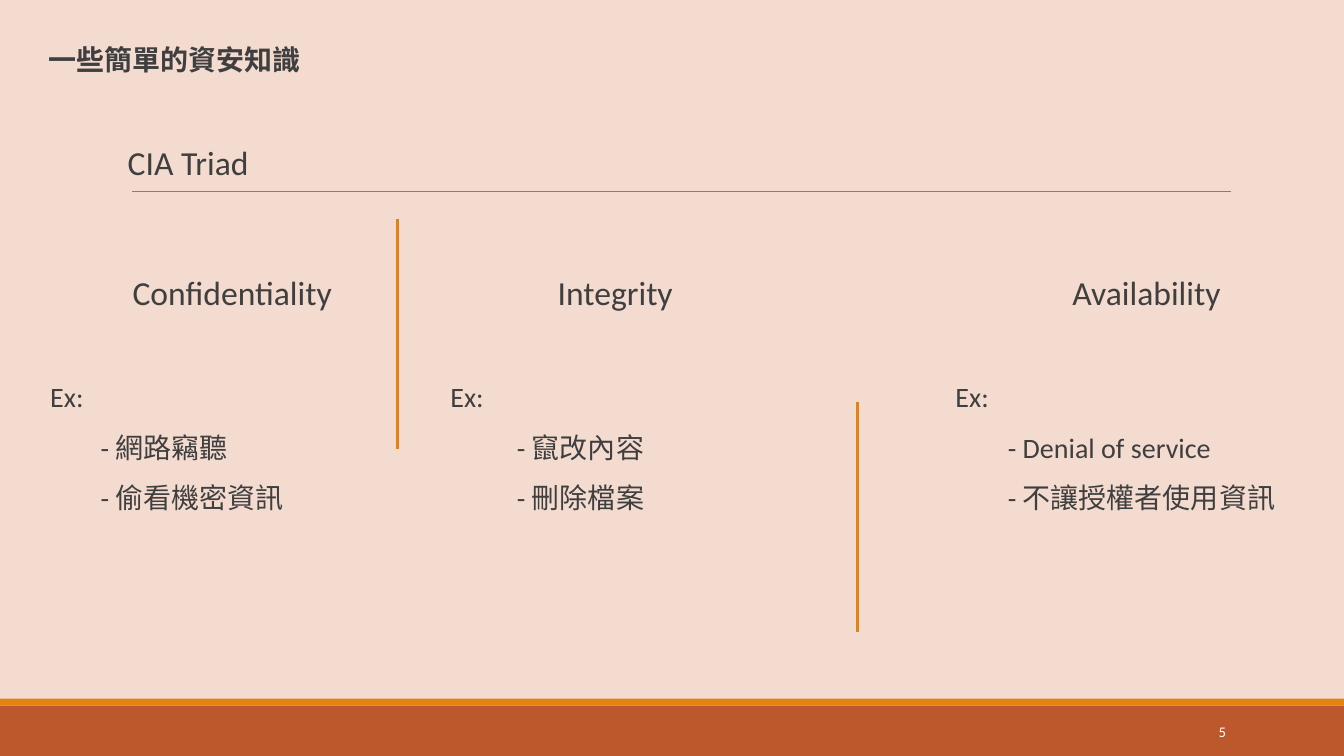
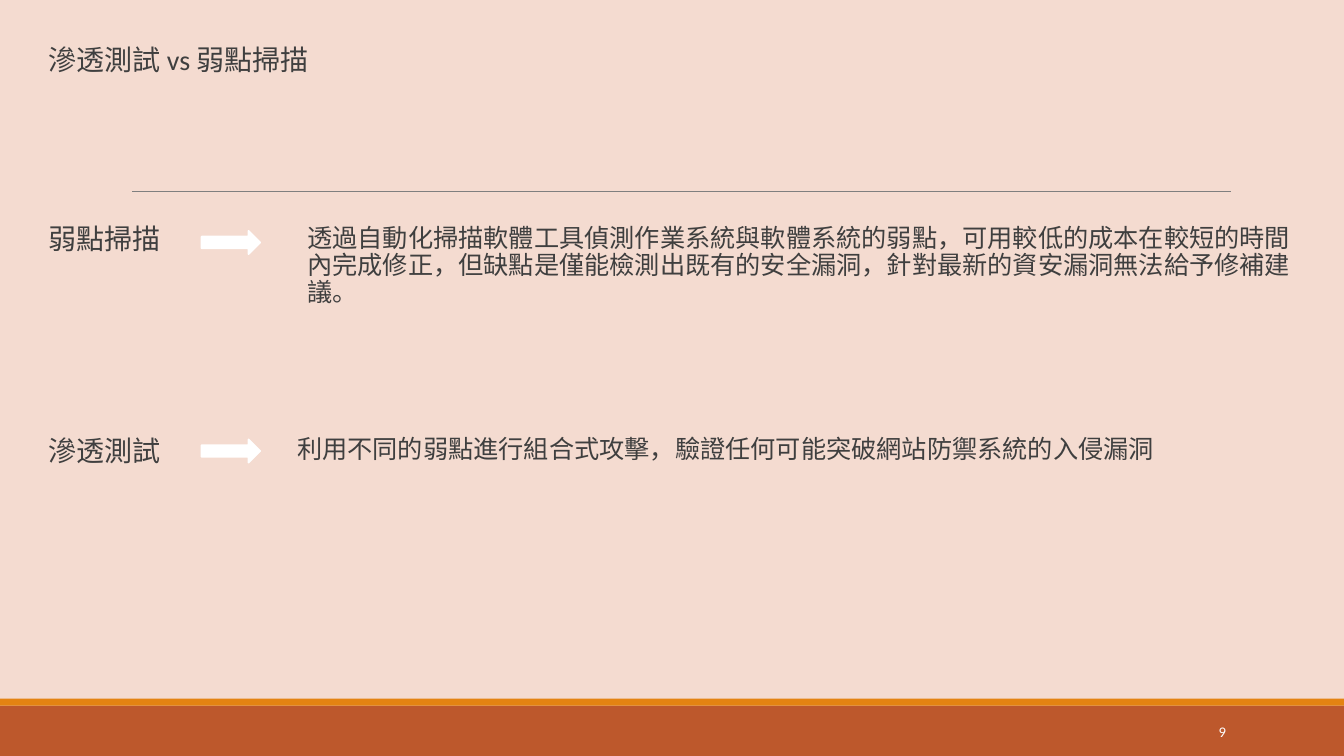
from lxml import etree
from pptx import Presentation
from pptx.dml.color import RGBColor
from pptx.enum import shapes, text
from pptx.oxml import ns
from pptx.util import Pt

# Content
TRIAD = {
    "title": "一些簡單的資安知識",
    "head": "CIA Triad",
    "page": "5",
    # head left, example left, list left, head, examples
    "cols": [
        (84.2, 21.6, 57.6, "Confidentiality", ["- 網路竊聽", "- 偷看機密資訊"]),
        (357.8, 307.4, 355, "Integrity", ["- 竄改內容", "- 刪除檔案"]),
        (737.3, 668.2, 705.6, "Availability",
         ["- Denial of service", "- 不讓授權者使用資訊"]),
    ],
    "bars": [(283.7, 156.2), (612.7, 287.3)],
}
TESTS = {
    "title": "滲透測試 vs 弱點掃描",
    "page": "9",
    # term top, arrow top, note top, note indent, term, note
    "rows": [
        (157.7, 164.9, 157.7, 7.2, "弱點掃描",
         "透過自動化掃描軟體工具偵測作業系統與軟體系統的弱點，"
         "可用較低的成本在較短的時間內完成修正，但缺點是僅能檢測出既有的安全漏洞，"
         "針對最新的資安漏洞無法給予修補建議。"),
        (308.9, 313.9, 308.2, 0, "滲透測試",
         "利用不同的弱點進行組合式攻擊，驗證任何可能突破網站防禦系統的入侵漏洞"),
    ],
}

# Shared style
COLORS = {"back": "F4DBD0", "band": "BD582C", "edge": "E48312",
          "ink": "3F3F3F", "rule": "7F7F7F", "white": "FFFFFF"}
FONT = "Calibri"
LEFT, BAR = 27.4, 164.2
WIDE, HIGH = 960, 540
ALIGN = text.PP_ALIGN


def color(name):
    return RGBColor.from_string(COLORS[name])


def box(slide, at, lines, size=20, ink="ink", bold=False, align=ALIGN.LEFT,
        space=0.9, indent=0, middle=False):
    frame = slide.shapes.add_textbox(*map(Pt, at)).text_frame
    frame.word_wrap = True
    if middle:
        frame.vertical_anchor = text.MSO_ANCHOR.MIDDLE
    look = {"name": FONT, "size": Pt(size), "bold": bold}
    for i, line in enumerate(lines):
        para = frame.paragraphs[0] if i == 0 else frame.add_paragraph()
        flow = {"alignment": align, "line_spacing": space,
                "space_before": Pt(14 if i else 0)}
        for key, val in flow.items():
            setattr(para, key, val)
        if indent:
            para._p.get_or_add_pPr().set("marL", str(Pt(indent)))
        run = para.add_run()
        run.text = line
        for key, val in look.items():
            setattr(run.font, key, val)
        run.font.color.rgb = color(ink)


def line(slide, start, end, tint, width):
    link = slide.shapes.add_connector(
        shapes.MSO_CONNECTOR.STRAIGHT, *map(Pt, start + end))
    link.line.color.rgb = color(tint)
    link.line.width = Pt(width)
    etree.SubElement(link._element.spPr, ns.qn("a:effectLst"))


def block(slide, kind, at, fill, edge=0):
    shape = slide.shapes.add_shape(kind, *map(Pt, at))
    shape.shadow.inherit = False
    shape.fill.solid()
    shape.fill.fore_color.rgb = color(fill)
    if edge:
        shape.line.color.rgb = color(fill)
        shape.line.width = Pt(edge)
    else:
        shape.line.fill.background()


def base(deck, data, bold=False):
    """Add a slide with its rule, bands, title and page number."""
    slide = deck.slides.add_slide(deck.slide_layouts[6])
    line(slide, (94.5, 136.8), (879, 136.8), "rule", 0.75)
    rect = shapes.MSO_SHAPE.RECTANGLE
    block(slide, rect, (0, 504, WIDE, 36), "band")
    block(slide, rect, (0, 499, WIDE, 5), "edge")
    box(slide, (LEFT, 29.5, 792, 36.7), [data["title"]], bold=bold)
    box(slide, (779.8, 508.3, 103, 28.8), [data["page"]], size=10.5,
        ink="white", align=ALIGN.RIGHT, space=1, middle=True)
    return slide


def triad(deck):
    slide = base(deck, TRIAD, bold=True)
    box(slide, (84.2, 100.8, 792, 36.7), [TRIAD["head"]], size=24)
    for x, y in TRIAD["bars"]:
        line(slide, (x, y), (x, y + BAR), "edge", 2.25)
    for head, intro, left, name, items in TRIAD["cols"]:
        box(slide, (head, 193.7, 163.4, 36.7), [name], size=24,
            align=ALIGN.CENTER)
        box(slide, (intro, 270, 181.4, 26.6), ["Ex:"], indent=7.2)
        box(slide, (left, 306.7, 242.6, 144), items, indent=7.2)


def tests(deck):
    slide = base(deck, TESTS)
    for top, mark, low, indent, term, note in TESTS["rows"]:
        box(slide, (LEFT, top, 178.6, 36.7), [term])
        box(slide, (205.2, low, 733, 110), [note], size=18, indent=indent)
        block(slide, shapes.MSO_SHAPE.RIGHT_ARROW, (144, mark, 41.8, 16.6),
              "white", edge=1.25)


def main():
    deck = Presentation()
    deck.slide_width, deck.slide_height = Pt(WIDE), Pt(HIGH)
    back = deck.slide_master.background.fill
    back.solid()
    back.fore_color.rgb = color("back")
    triad(deck)
    tests(deck)
    deck.save("out.pptx")


if __name__ == "__main__":
    main()
